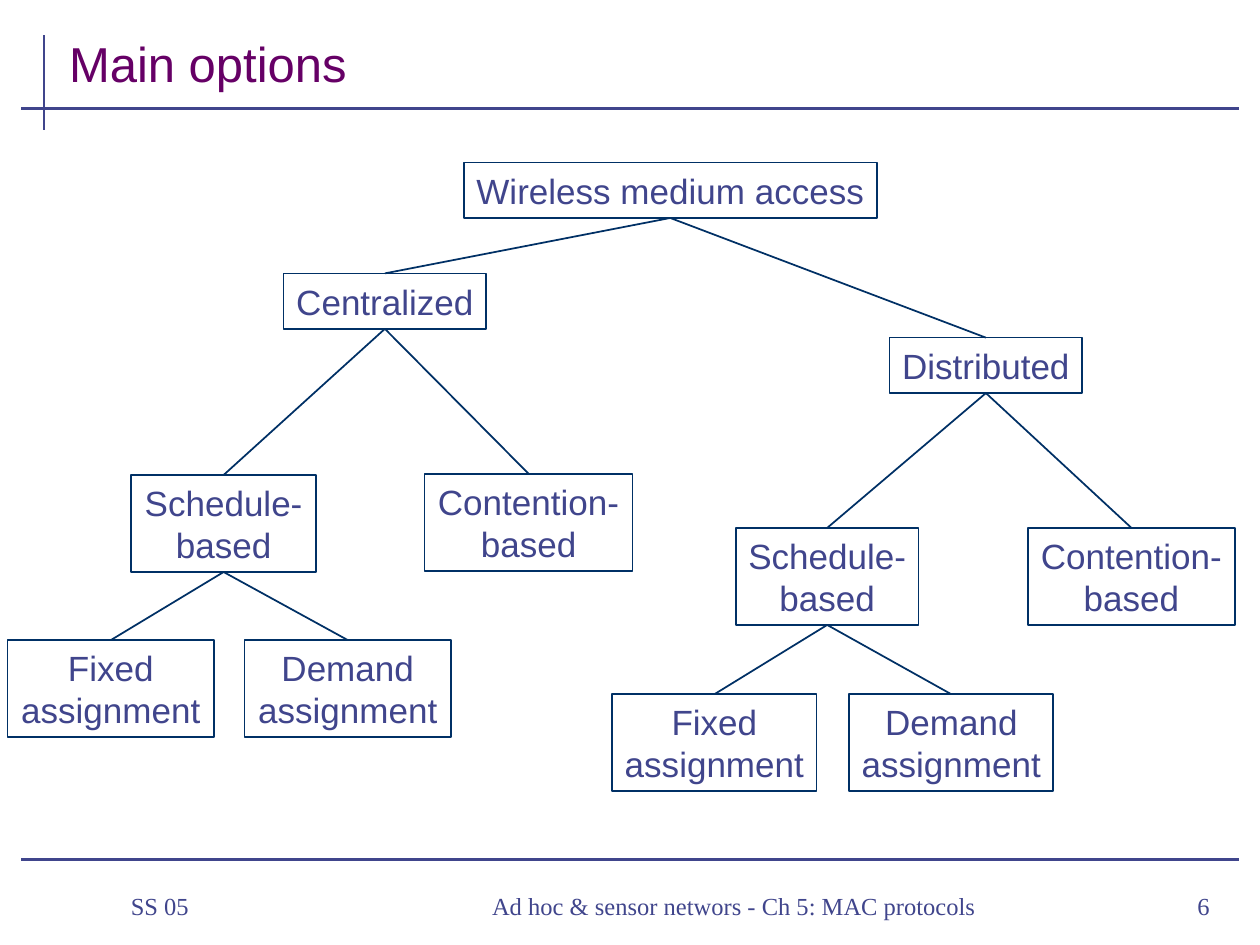
from dataclasses import dataclass

from lxml import etree
from pptx import Presentation
from pptx import util as u
from pptx.dml.color import RGBColor
from pptx.enum import shapes, text
from pptx.oxml.ns import qn

PX = 9144  # EMU per px, 100 px to the inch
INDIGO = RGBColor(0x40, 0x45, 0x8C)
NAVY = RGBColor(0x00, 0x30, 0x65)
PURPLE = RGBColor(0x66, 0x00, 0x66)
BOTTOM, TOP = 2, 0
LEFT, CENTER, RIGHT = text.PP_ALIGN.LEFT, text.PP_ALIGN.CENTER, text.PP_ALIGN.RIGHT
ONE_LINE, TWO_LINES = 44, 77  # box heights


@dataclass(frozen=True)
class Node:
    label: str
    left: int
    top: int
    width: int
    parent: str = ""

    @property
    def height(self) -> int:
        return TWO_LINES if "\n" in self.label else ONE_LINE


@dataclass(frozen=True)
class Label:
    words: str
    left: int
    top: int
    width: int
    height: int
    align: text.PP_ALIGN = LEFT
    size: int = 14
    font: str = "Times New Roman"
    color: RGBColor = INDIGO
    anchor: text.MSO_ANCHOR = text.MSO_ANCHOR.MIDDLE
    indent: int = 24


@dataclass(frozen=True)
class Rule:
    x1: int
    y1: int
    x2: int
    y2: int


RULES = [Rule(35, 28, 35, 103), Rule(17, 86, 983, 86), Rule(17, 682, 983, 682)]

LABELS = [
    Label("Main options", 45, 16, 933, 62, size=28, font="Arial", color=PURPLE,
          anchor=text.MSO_ANCHOR.BOTTOM, indent=0),
    Label("SS 05", 70, 693, 174, 52),
    Label("Ad hoc & sensor networs - Ch 5: MAC protocols", 260, 693, 621, 52, CENTER),
    Label("6", 897, 693, 73, 52, RIGHT),
]

# Each key names the branch: c is centralized, d is distributed
NODES = {
    "root": Node("Wireless medium access", 368, 129, 328),
    "c": Node("Centralized", 225, 217, 161, "root"),
    "d": Node("Distributed", 706, 268, 153, "root"),
    "c schedule": Node("Schedule-\nbased", 104, 377, 147, "c"),
    "c contention": Node("Contention-\nbased", 337, 376, 165, "c"),
    "d schedule": Node("Schedule-\nbased", 584, 419, 145, "d"),
    "d contention": Node("Contention-\nbased", 816, 419, 164, "d"),
    "c fixed": Node("Fixed\nassignment", 6, 508, 164, "c schedule"),
    "c demand": Node("Demand\nassignment", 194, 508, 164, "c schedule"),
    "d fixed": Node("Fixed\nassignment", 486, 551, 162, "d schedule"),
    "d demand": Node("Demand\nassignment", 674, 551, 162, "d schedule"),
}


def write(shape, words: str, align, anchor, wrap: bool, font: dict, indent: int = 0) -> None:
    frame = shape.text_frame
    frame.word_wrap = wrap
    frame.vertical_anchor = anchor
    paragraph = frame.paragraphs[0]
    paragraph.text = words
    paragraph.alignment = align
    if indent:
        paragraph._p.get_or_add_pPr().set("marL", str(indent * PX))
    for run in paragraph.runs:
        run.font.color.rgb = font["color"]
        for name, value in font["values"].items():
            setattr(run.font, name, value)


def add_label(slide, label: Label) -> None:
    shape = slide.shapes.add_textbox(
        label.left * PX, label.top * PX, label.width * PX, label.height * PX)
    font = {"color": label.color,
            "values": {"name": label.font, "size": u.Pt(label.size)}}
    write(shape, label.words, label.align, label.anchor, True, font, label.indent)


def add_node(slide, node: Node):
    shape = slide.shapes.add_shape(
        shapes.MSO_SHAPE.RECTANGLE,
        node.left * PX, node.top * PX, node.width * PX, node.height * PX)
    shape.shadow.inherit = False
    shape.fill.background()
    shape.line.color.rgb = NAVY
    shape.line.width = u.Pt(1)
    font = {"color": INDIGO, "values": {"name": "Arial", "size": u.Pt(20)}}
    write(shape, node.label, CENTER, text.MSO_ANCHOR.MIDDLE, False, font)
    return shape


def add_line(slide, rule: Rule, color: RGBColor, width: float):
    line = slide.shapes.add_connector(
        shapes.MSO_CONNECTOR.STRAIGHT,
        rule.x1 * PX, rule.y1 * PX, rule.x2 * PX, rule.y2 * PX)
    line.line.color.rgb = color
    line.line.width = u.Pt(width)
    etree.SubElement(line._element.spPr, qn("a:effectLst"))
    return line


def main() -> None:
    presentation = Presentation()
    presentation.slide_width = 1000 * PX
    presentation.slide_height = 750 * PX
    slide = presentation.slides.add_slide(presentation.slide_layouts[6])

    # Frame lines, title and footer
    for rule in RULES:
        add_line(slide, rule, INDIGO, 1.5)
    for label in LABELS:
        add_label(slide, label)

    # Tree boxes, then the branch from each parent
    boxes = {key: add_node(slide, node) for key, node in NODES.items()}
    for key, node in NODES.items():
        if node.parent:
            branch = add_line(slide, Rule(0, 0, 0, 0), NAVY, 1)
            branch.begin_connect(boxes[node.parent], BOTTOM)
            branch.end_connect(boxes[key], TOP)

    presentation.save("out.pptx")


if __name__ == "__main__":
    main()
